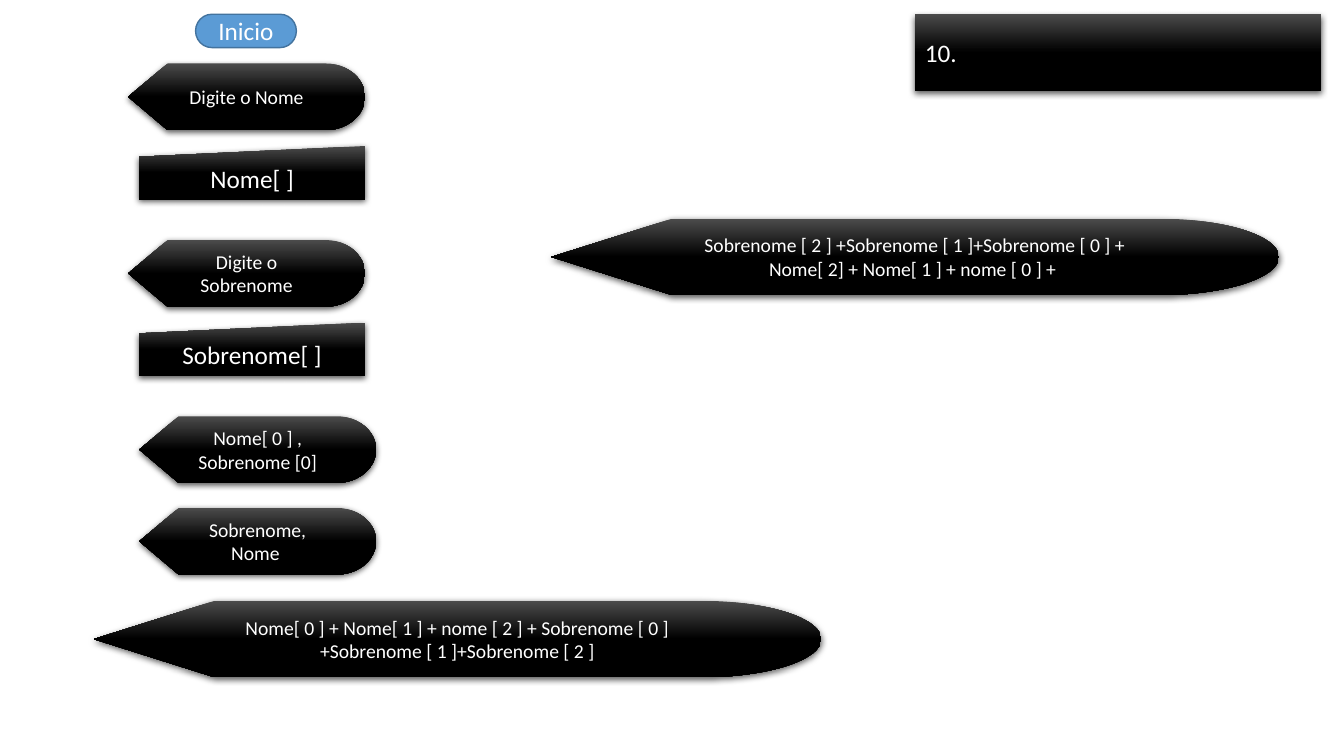
from copy import deepcopy

from lxml import etree
from pptx import Presentation
from pptx.dml.color import RGBColor
from pptx.enum.shapes import MSO_SHAPE
from pptx.enum.text import MSO_ANCHOR, PP_ALIGN
from pptx.oxml.ns import qn
from pptx.util import Cm, Pt

TERMINATOR = MSO_SHAPE.FLOWCHART_TERMINATOR
INPUT = MSO_SHAPE.FLOWCHART_MANUAL_INPUT
DISPLAY = MSO_SHAPE.FLOWCHART_DISPLAY
RECTANGLE = MSO_SHAPE.RECTANGLE
LEFT, CENTER = PP_ALIGN.LEFT, PP_ALIGN.CENTER
MIDDLE = MSO_ANCHOR.MIDDLE

WHITE = RGBColor(0xFF, 0xFF, 0xFF)
BLACK = RGBColor(0x00, 0x00, 0x00)
GRAY = RGBColor(0x4B, 0x4B, 0x4B)
BLUE = RGBColor(0x5B, 0x9B, 0xD5)
DARK_BLUE = RGBColor(0x43, 0x73, 0x9E)

FONT = "Calibri"
PAIR_PITCH = 4.45  # from one prompt and its input to the next
OUTPUT_PITCH = 2.31  # from one short output to the next


def add_box(page, kind, left, top, width, height, text, size, align=CENTER):
    """Add a flowchart shape, measured in centimetres, with white text."""
    box = page.shapes.add_shape(kind, Cm(left), Cm(top), Cm(width), Cm(height))
    box.shadow.inherit = False
    box.text_frame.word_wrap = True
    box.text_frame.vertical_anchor = MIDDLE
    para = box.text_frame.paragraphs[0]
    para.text = text
    para.alignment = align
    para.font.name = FONT
    para.font.size = Pt(size)
    para.font.color.rgb = WHITE
    return box


def add_shadow(box):
    effects = box._element.spPr.find(qn("a:effectLst"))
    shadow = etree.SubElement(effects, qn("a:outerShdw"), blurRad=str(Pt(4.5)),
                              dist=str(Pt(1.5)), dir="5400000", algn="ctr", rotWithShape="0")
    color = etree.SubElement(shadow, qn("a:srgbClr"), val=str(BLACK))
    etree.SubElement(color, qn("a:alpha"), val="63000")


def add_dark_box(page, *details, **options):
    """Add a shape with a gray-to-black gradient and a soft shadow."""
    box = add_box(page, *details, **options)
    box.line.fill.background()
    box.fill.gradient()
    box.fill.gradient_angle = 270
    stop_list = box._element.spPr.find(qn("a:gradFill")).find(qn("a:gsLst"))
    stop_list.append(deepcopy(stop_list[-1]))
    for stop, position, color in zip(box.fill.gradient_stops, (0, 0.5, 1), (GRAY, BLACK, BLACK)):
        stop.position = position
        stop.color.rgb = color
    add_shadow(box)


def add_start(page):
    start = add_box(page, TERMINATOR, 4.93, 0.36, 2.54, 0.84, "Inicio", 18)
    start.fill.solid()
    start.fill.fore_color.rgb = BLUE
    start.line.color.rgb = DARK_BLUE
    start.line.width = Pt(1)


def main():
    deck = Presentation()
    deck.slide_width, deck.slide_height = Cm(33.87), Cm(19.05)
    page = deck.slides.add_slide(deck.slide_layouts[6])

    # Exercise number and start of the flow
    add_dark_box(page, RECTANGLE, 23.06, 0.36, 10.24, 1.93, "10.", 18, align=LEFT)
    add_start(page)

    # Prompts, each followed by its input
    for index, name in enumerate(("Nome", "Sobrenome")):
        offset = index * PAIR_PITCH
        add_dark_box(page, INPUT, 3.51, 3.68 + offset, 5.69, 1.35, f"{name}[ ]", 18)
        add_dark_box(page, DISPLAY, 3.23, 1.6 + offset, 5.97, 1.68, f"Digite o {name}", 14)

    # Short outputs
    for index, text in enumerate(("Nome[ 0 ] , Sobrenome [0]", "Sobrenome, Nome ")):
        add_dark_box(page, DISPLAY, 3.51, 10.49 + index * OUTPUT_PITCH, 5.97, 1.68, text, 14)

    # Long outputs
    long_outputs = (
        (2.36, 15.14, "Nome[ 0 ] + Nome[ 1 ] + nome [ 2 ] + Sobrenome [ 0 ] "
                      "+Sobrenome [ 1 ]+Sobrenome [ 2 ]"),
        (13.89, 5.51, "Sobrenome [ 2 ] +Sobrenome [ 1 ]+Sobrenome [ 0 ] + "
                      "Nome[ 2] + Nome[ 1 ] + nome [ 0 ] + "),
    )
    for left, top, text in long_outputs:
        add_dark_box(page, DISPLAY, left, top, 18.34, 1.93, text, 14)

    deck.save("out.pptx")


if __name__ == "__main__":
    main()
